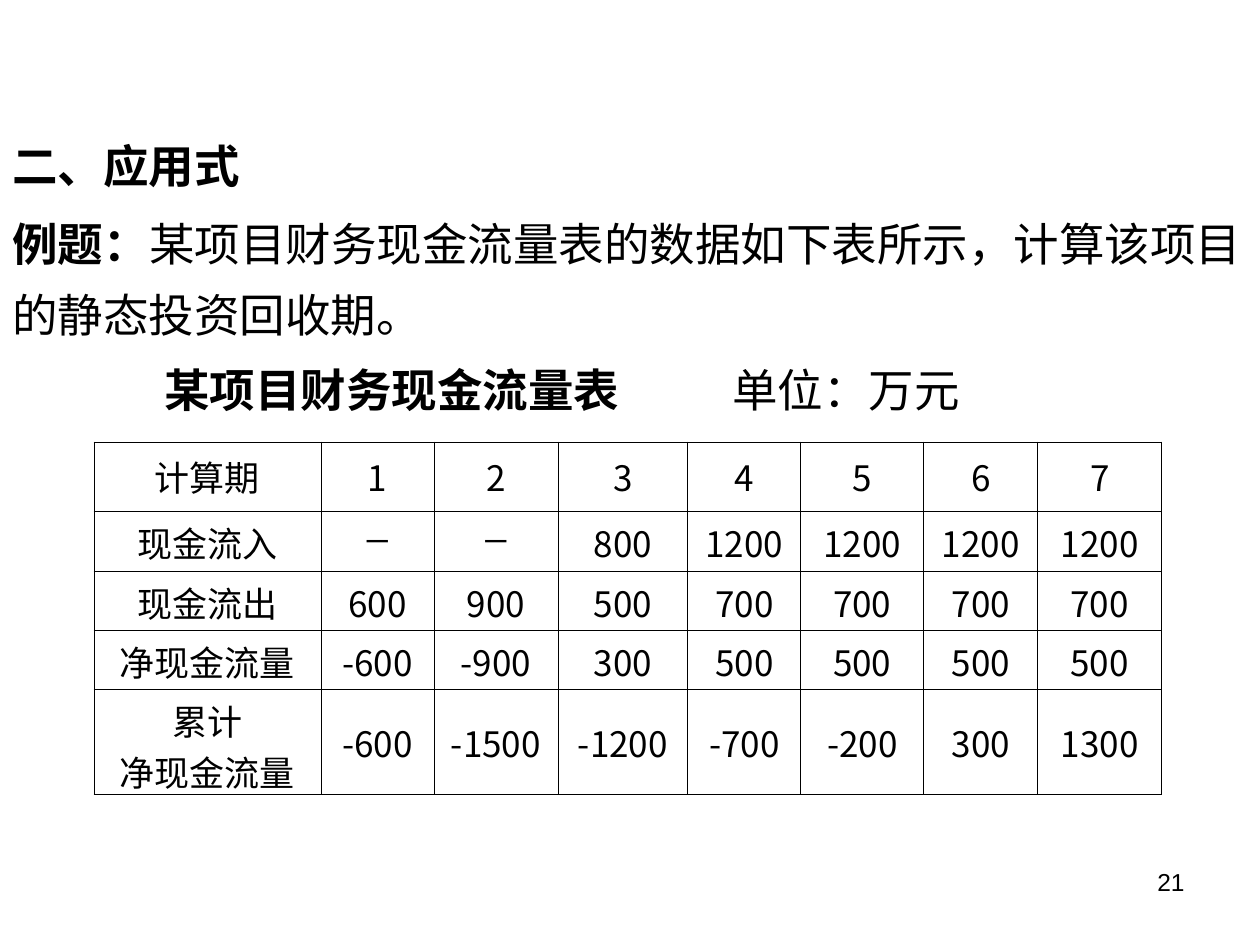
from lxml import etree
from pptx import Presentation
from pptx.dml.color import RGBColor
from pptx.enum.text import MSO_ANCHOR as Anchor, PP_ALIGN as Align
from pptx.oxml.ns import qn
from pptx.util import Emu, Pt

PX = 914400 // 126
BLACK = RGBColor(0, 0, 0)
WHITE = RGBColor(255, 255, 255)
CJK, LATIN, DASH_FONT = "Noto Sans CJK SC", "Arial", "Courier New"
DASH = "—"
COLUMN_WIDTHS = [227, 113, 124, 130, 113, 123, 114, 124]
ROW_HEIGHTS = [69, 60, 59, 59, 106]
CASH_FLOWS = [
    ["计算期", "1", "2", "3", "4", "5", "6", "7"],
    ["现金流入", DASH, DASH, "800", "1200", "1200", "1200", "1200"],
    ["现金流出", "600", "900", "500", "700", "700", "700", "700"],
    ["净现金流量", "-600", "-900", "300", "500", "500", "500", "500"],
    ["累计\n净现金流量", "-600", "-1500", "-1200", "-700", "-200", "300", "1300"],
]


def px(length):
    """Turn pixels into EMU."""
    return Emu(length * PX)


def style(paragraph, size, face=CJK):
    """Set size, colour and both Latin and East Asian faces of a paragraph."""
    font = paragraph.font
    font.size = Pt(size)
    font.color.rgb = BLACK
    font.name = face
    defaults = paragraph._p.pPr.find(qn("a:defRPr"))
    etree.SubElement(defaults, qn("a:ea"), typeface=face)


def add_runs(paragraph, *pieces):
    """Add (text, bold) pieces as runs."""
    for text, bold in pieces:
        run = paragraph.add_run()
        run.text = text
        run.font.bold = bold


def add_frame(slide, left, top, width, height):
    """Add a wrapping text box and return its text frame."""
    frame = slide.shapes.add_textbox(*map(px, (left, top, width, height))).text_frame
    frame.word_wrap = True
    return frame


def add_example(slide, left, top, width, height):
    """Place the section heading and the example question."""
    frame = add_frame(slide, left, top, width, height)
    heading, question = frame.paragraphs[0], frame.add_paragraph()
    add_runs(heading, ("二、应用式", True))
    add_runs(question, ("例题：", True),
             ("某项目财务现金流量表的数据如下表所示，计算该项目的静态投资回收期。", False))
    for paragraph, space in ((heading, 6.5), (question, 4.5)):
        style(paragraph, 26)
        paragraph.line_spacing = 1.3
        paragraph.space_before = Pt(space)


def add_caption(slide, left, top, width, height):
    """Place the table caption and its unit on two tab stops."""
    frame = add_frame(slide, left, top, width, height)
    frame.vertical_anchor = Anchor.MIDDLE
    caption = frame.paragraphs[0]
    add_runs(caption, ("\t某项目财务现金流量表", True), ("\t单位：万元", False))
    style(caption, 26)
    stops = etree.Element(qn("a:tabLst"))
    for position in (89, 657):
        etree.SubElement(stops, qn("a:tab"), pos=str(px(position)), algn="l")
    caption._p.pPr.find(qn("a:defRPr")).addprevious(stops)


def add_borders(cell):
    """Draw thin black lines on all four sides of a cell."""
    properties = cell._tc.get_or_add_tcPr()
    for index, side in enumerate(("lnL", "lnR", "lnT", "lnB")):
        line = etree.Element(qn(f"a:{side}"), w=str(Pt(0.45)))
        fill = etree.SubElement(line, qn("a:solidFill"))
        etree.SubElement(fill, qn("a:srgbClr"), val=str(BLACK))
        properties.insert(index, line)


def add_cash_flow_table(slide, left, top):
    """Place the cash flow table."""
    width, height = sum(COLUMN_WIDTHS), sum(ROW_HEIGHTS)
    table = slide.shapes.add_table(len(ROW_HEIGHTS), len(COLUMN_WIDTHS),
                                   *map(px, (left, top, width, height))).table
    for column, column_width in zip(table.columns, COLUMN_WIDTHS):
        column.width = px(column_width)
    for row, row_height, values in zip(table.rows, ROW_HEIGHTS, CASH_FLOWS):
        row.height = px(row_height)
        for cell, value in zip(row.cells, values):
            cell.text = value
            cell.vertical_anchor = Anchor.MIDDLE
            cell.fill.solid()
            cell.fill.fore_color.rgb = WHITE
            add_borders(cell)
            for paragraph in cell.text_frame.paragraphs:
                paragraph.alignment = Align.CENTER
                paragraph.font.bold = False
                style(paragraph, 20, DASH_FONT if value == DASH else CJK)


def add_page_number(slide, left, top, width, height):
    """Place the page number."""
    number = add_frame(slide, left, top, width, height).paragraphs[0]
    add_runs(number, ("21", False))
    number.alignment = Align.RIGHT
    style(number, 14, LATIN)


def main():
    """Build the slide and save it."""
    deck = Presentation()
    deck.slide_width, deck.slide_height = px(1260), px(945)
    slide = deck.slides.add_slide(deck.slide_layouts[6])
    add_example(slide, 0, 115, 1260, 233)
    add_caption(slide, 63, 353, 1061, 72)
    add_cash_flow_table(slide, 94, 442)
    add_page_number(slide, 903, 861, 294, 66)
    deck.save("out.pptx")


if __name__ == "__main__":
    main()
